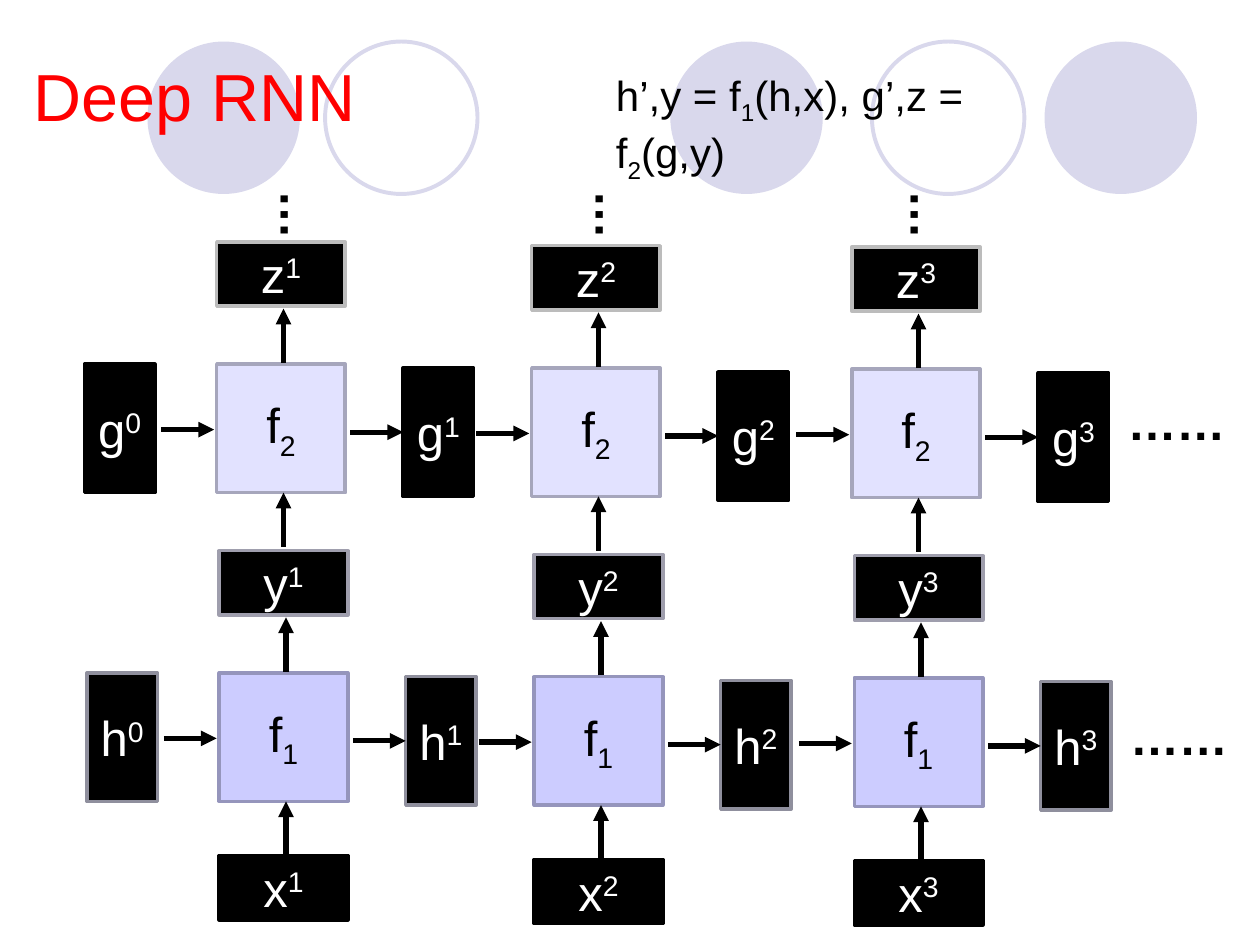
from lxml import etree
from pptx import Presentation
from pptx.dml.color import RGBColor
from pptx.enum.shapes import MSO_CONNECTOR, MSO_SHAPE
from pptx.enum.text import MSO_ANCHOR, PP_ALIGN
from pptx.oxml.ns import qn
from pptx.util import Inches, Pt

RECTANGLE = MSO_SHAPE.RECTANGLE
OVAL = MSO_SHAPE.OVAL
STRAIGHT = MSO_CONNECTOR.STRAIGHT
LEFT, CENTER = PP_ALIGN.LEFT, PP_ALIGN.CENTER
TOP, MIDDLE = MSO_ANCHOR.TOP, MSO_ANCHOR.MIDDLE

COLORS = {
    "black": "000000",
    "white": "FFFFFF",
    "red": "FF0000",
    "circle": "D9D8EC",
    "f1": "CCCCFF",
    "f1_edge": "9595BC",
    "f2": "E2E2FF",
    "f2_edge": "A6A6BC",
    "h_edge": "8F8F9D",
    "y_edge": "9F9EAD",
    "z_edge": "BCBCBC",
}


def write_text(shape, text, size=28, color="black", bold=False, align=LEFT,
               anchor=TOP, shift=-25, wrap=True):
    frame = shape.text_frame
    frame.word_wrap = wrap
    frame.vertical_anchor = anchor
    para = frame.paragraphs[0]
    para.alignment = align
    for index, part in enumerate(text.split("|")):
        if part:
            span = para.add_run()
            span.text = part
            span.font.name = "Arial"
            span.font.size = Pt(size)
            span.font.bold = bold
            span.font.color.rgb = RGBColor.from_string(COLORS[color])
            if index % 2:
                span.font._element.set("baseline", str(shift * 1000))


def add_block(text, left, top, width, height, edge, fill="black", color="white", shift=30):
    block = page.shapes.add_shape(RECTANGLE, Inches(left), Inches(top),
                                  Inches(width), Inches(height))
    block.shadow.inherit = False
    block.fill.solid()
    block.fill.fore_color.rgb = RGBColor.from_string(COLORS[fill])
    block.line.color.rgb = RGBColor.from_string(COLORS[edge])
    block.line.width = Pt(2)
    write_text(block, text, color=color, align=CENTER, anchor=MIDDLE, shift=shift)


deck = Presentation()
deck.slide_width = Inches(10)
deck.slide_height = Inches(7.5)
page = deck.slides.add_slide(deck.slide_layouts[6])

for left, filled in [(5.32, True), (8.29, True), (1.17, True), (6.92, False), (2.58, False)]:
    circle = page.shapes.add_shape(OVAL, Inches(left), Inches(0.33), Inches(1.21), Inches(1.21))
    circle.shadow.inherit = False
    if filled:
        circle.fill.solid()
        circle.fill.fore_color.rgb = RGBColor.from_string(COLORS["circle"])
        circle.line.fill.background()
    else:
        circle.fill.background()
        circle.line.color.rgb = RGBColor.from_string(COLORS["circle"])
        circle.line.width = Pt(2.25)

title = page.shapes.add_textbox(Inches(0.17), Inches(0.17), Inches(3.25), Inches(1.17))
write_text(title, "Deep RNN", size=38, color="red", anchor=MIDDLE)

SIDE, HALF, STATE_WIDTH = 1.02, 0.51, 0.56
steps = [(1.74, 5.34), (4.24, 5.37), (6.78, 5.38)]
layers = [
    ("f1", "f|1|", "h", "h_edge", "y", "y_edge", 0, 0),
    ("f2", "f|2|", "g", "black", "z", "z_edge", -0.02, -2.45),
]

for function, label, state, state_edge, output, output_edge, shift_x, shift_y in layers:
    start_left, start_top = steps[0][0] + shift_x, steps[0][1] + shift_y
    add_block(f"{state}|0|", start_left - 1.05, start_top, STATE_WIDTH, SIDE, state_edge)

    for number, (step_left, step_top) in enumerate(steps, start=1):
        left, top = step_left + shift_x, step_top + shift_y
        add_block(label, left, top, SIDE, SIDE, function + "_edge",
                  fill=function, color="black", shift=-25)
        add_block(f"{state}|{number}|", left + 1.48, top + 0.03, STATE_WIDTH, SIDE, state_edge)
        add_block(f"{output}|{number}|", left, top - 0.97, SIDE, HALF, output_edge)
        if function == "f1":
            add_block(f"x|{number}|", left, top + 1.45, SIDE, HALF, "black")

        for x1, y1, x2, y2 in [
            (-0.44, 0.52, -0.02, 0.52),
            (1.06, 0.54, 1.48, 0.54),
            (0.53, -0.01, 0.53, -0.44),
            (0.53, 1.45, 0.53, 1.02),
        ]:
            arrow = page.shapes.add_connector(STRAIGHT, Inches(left + x1), Inches(top + y1),
                                              Inches(left + x2), Inches(top + y2))
            arrow.line.color.rgb = RGBColor.from_string(COLORS["black"])
            arrow.line.width = Pt(3)
            etree.SubElement(arrow.line._get_or_add_ln(), qn("a:tailEnd"), type="triangle")
            etree.SubElement(arrow._element.spPr, qn("a:effectLst"))

    dots = page.shapes.add_textbox(Inches(8.87 + shift_x), Inches(5.56 + shift_y * 1.02),
                                   Inches(1.02), Inches(0.57))
    write_text(dots, "……", bold=True)

for left in (2.14, 4.64, 7.14):
    dots = page.shapes.add_textbox(Inches(left), Inches(1.37), Inches(0.48), Inches(0.57))
    dots.rotation = 90
    write_text(dots, "…", bold=True)

formula = page.shapes.add_textbox(Inches(4.79), Inches(0.5), Inches(3.91), Inches(0.56))
write_text(formula, "h’,y = f|1|(h,x), g’,z = f|2|(g,y)", size=24, wrap=False)

deck.save("out.pptx")
